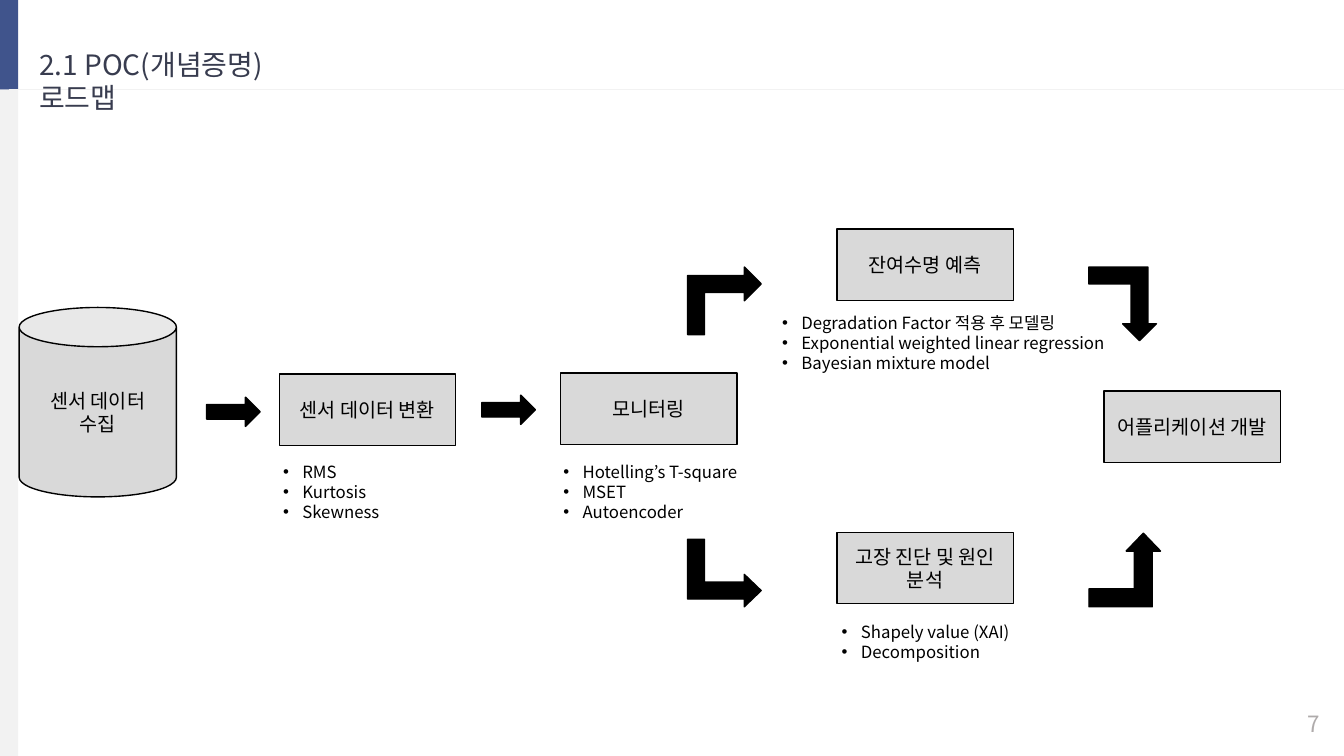
from dataclasses import dataclass

from lxml.etree import SubElement as Sub
from pptx import Presentation
from pptx.dml.color import RGBColor as Rgb
from pptx.enum.shapes import MSO_CONNECTOR as Link, MSO_SHAPE as Kind
from pptx.enum.text import MSO_ANCHOR as Anchor, MSO_AUTO_SIZE as Fit, PP_ALIGN as Align
from pptx.oxml.ns import qn
from pptx.util import Inches, Pt


@dataclass(frozen=True)
class Theme:
    font: str = "Noto Sans CJK KR"
    blue: str = "40548C"
    pale: str = "F2F2F2"
    gray: str = "D9D9D9"
    ink: str = "000000"
    head: str = "383C4F"
    mute: str = "AFABAB"
    title: int = 20
    page: int = 16
    label: int = 14
    note: int = 12


THEME = Theme()
BOX_W, BOX_H = 1.75, 0.71


def rgb(code):
    return Rgb.from_string(code)


def write(shape, text, size=THEME.label, color=THEME.ink, align=Align.LEFT,
          anchor=Anchor.TOP, bullet=False, grow=False):
    """Fill a shape with text, one paragraph per line."""
    frame = shape.text_frame
    frame.word_wrap = True
    frame.vertical_anchor = anchor
    frame.auto_size = Fit.SHAPE_TO_FIT_TEXT if grow else Fit.NONE
    for i, line in enumerate(text.split("\n")):
        para = frame.add_paragraph() if i else frame.paragraphs[0]
        para.alignment = align
        if bullet:
            props = para._p.get_or_add_pPr()
            props.set("marL", str(Inches(0.19)))
            props.set("indent", str(Inches(-0.19)))
            Sub(props, qn("a:buFont")).set("typeface", "Arial")
            Sub(props, qn("a:buChar")).set("char", "•")
        run = para.add_run()
        run.text = line
        run.font.name = THEME.font
        run.font.size = Pt(size)
        run.font.color.rgb = rgb(color)
        Sub(run.font._element, qn("a:ea")).set("typeface", THEME.font)


def add_text(slide, spot, text, **style):
    box = slide.shapes.add_textbox(*map(Inches, spot))
    write(box, text, **style)


def add_form(slide, kind, spot, fill, line=THEME.ink):
    form = slide.shapes.add_shape(kind, *map(Inches, spot))
    form.shadow.inherit = False
    form.fill.solid()
    form.fill.fore_color.rgb = rgb(fill)
    if line:
        form.line.color.rgb = rgb(line)
        form.line.width = Pt(1)
    else:
        form.line.fill.background()
    return form


def add_step(slide, text, left, top, wide=BOX_W, high=BOX_H, kind=Kind.RECTANGLE):
    step = add_form(slide, kind, (left, top, wide, high), THEME.gray)
    write(step, text, align=Align.CENTER, anchor=Anchor.MIDDLE)


def add_bend(slide, spot, turn=0, flips=("flipV",), neck=0.25):
    bend = add_form(slide, Kind.BENT_UP_ARROW, spot, THEME.ink)
    bend.rotation = turn
    bend.adjustments[1] = neck
    for flip in flips:
        bend._element.spPr.xfrm.set(flip, "1")


def add_frame(slide):
    """Side band, header rule, title and page number."""
    tab = add_form(slide, Kind.RECTANGLE, (0, 0, 0.18, 0.89), THEME.blue, None)
    add_form(slide, Kind.RECTANGLE, (0, 0.89, 0.18, 6.61), THEME.pale, None)
    ends = map(Inches, (0.09, 0.89, 13.33, 0.89))
    rule = slide.shapes.add_connector(Link.STRAIGHT, *ends)
    rule.begin_connect(tab, 2)
    rule.line.color.rgb = rgb(THEME.pale)
    rule.line.width = Pt(0.5)
    Sub(rule._element.spPr, qn("a:effectLst"))
    add_text(slide, (0.29, 0.42, 3.22, 0.44), "2.1 POC(개념증명) 로드맵",
             size=THEME.title, color=THEME.head, grow=True)
    add_text(slide, (10.19, 6.98, 3, 0.4), "7", size=THEME.page,
             color=THEME.mute, align=Align.RIGHT, anchor=Anchor.MIDDLE)


def main():
    deck = Presentation()
    deck.slide_width, deck.slide_height = Inches(13.33), Inches(7.5)
    slide = deck.slides.add_slide(deck.slide_layouts[6])
    add_frame(slide)

    # Steps of the roadmap
    add_step(slide, "센서 데이터\n수집", 0.19, 3.05, 1.56, 1.88, Kind.CAN)
    for text, left, top in (
        ("센서 데이터 변환", 2.77, 3.71),
        ("모니터링", 5.56, 3.7),
        ("잔여수명 예측", 8.3, 2.27),
        ("고장 진단 및 원인 분석", 8.3, 5.28),
        ("어플리케이션 개발", 10.95, 3.88),
    ):
        add_step(slide, text, left, top)

    # Methods under the steps
    for spot, text in (
        ((2.71, 4.53, 2.01, 0.71), "RMS\nKurtosis\nSkewness"),
        ((5.49, 4.53, 2.17, 0.71), "Hotelling’s T-square\nMSET\nAutoencoder"),
        ((7.66, 3.05, 3.41, 0.71),
         "Degradation Factor 적용 후 모델링\n"
         "Exponential weighted linear regression\nBayesian mixture model"),
        ((8.25, 6.12, 3.41, 0.5), "Shapely value (XAI)\nDecomposition"),
    ):
        add_text(slide, spot, text, size=THEME.note, bullet=True, grow=True)

    # Arrows between the steps
    for left, top in ((2.05, 3.94), (4.78, 3.92)):
        add_form(slide, Kind.RIGHT_ARROW, (left, top, 0.53, 0.29), THEME.ink)
    both = ("flipH", "flipV")
    add_bend(slide, (6.85, 2.62, 0.67, 0.73), turn=270)
    add_bend(slide, (6.85, 5.32, 0.67, 0.73), turn=270, flips=both, neck=0.24)
    add_bend(slide, (10.8, 2.65, 0.67, 0.73))
    add_bend(slide, (10.8, 5.29, 0.71, 0.73), turn=180, flips=both, neck=0.24)

    deck.save("out.pptx")


if __name__ == "__main__":
    main()
